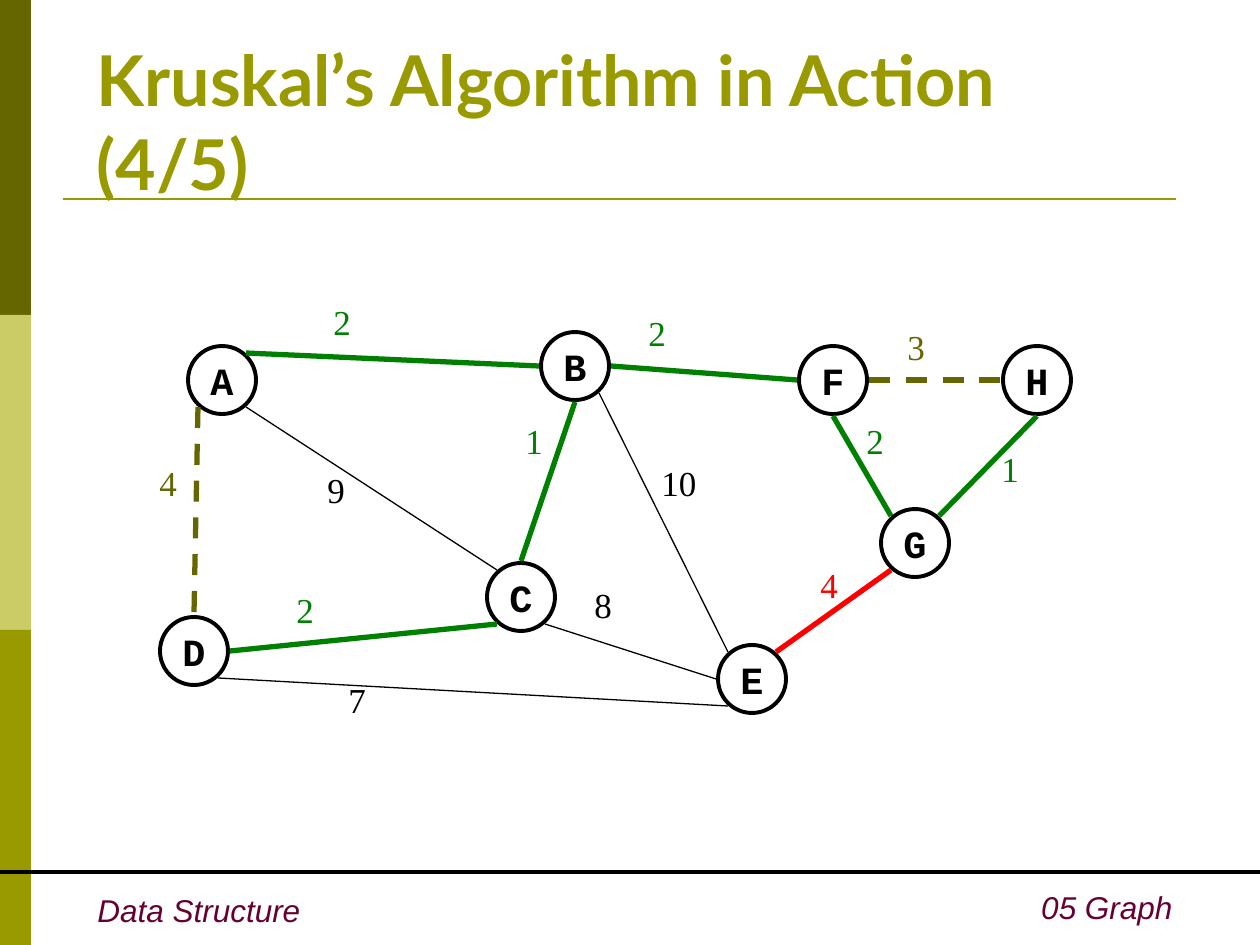
from pptx import Presentation
from pptx.dml.color import RGBColor
from pptx.enum.dml import MSO_LINE
from pptx.enum.shapes import MSO_CONNECTOR, MSO_SHAPE
from pptx.enum.text import MSO_ANCHOR, MSO_AUTO_SIZE, PP_ALIGN
from pptx.oxml.ns import qn
from pptx.util import Pt
from lxml.etree import SubElement

WIDE, HIGH = 1260, 945
RADIUS, REACH = 34, 36
DIAG = (24, 27)
BLACK, WHITE, OLIVE, MOSS, PLUM = "000000", "FFFFFF", "999900", "666600", "660033"

TITLE = "Kruskal’s Algorithm in Action (4/5)"
BARS = [MOSS, "CCCC66", OLIVE]
NODES = {
    "A": (222, 380), "B": (575, 366), "C": (521, 597), "D": (194, 651),
    "E": (752, 679), "F": (833, 380), "G": (915, 543), "H": (1037, 380),
}
STYLES = {
    "taken": ("008000", 3, False),
    "refused": (MOSS, 3, True),
    "current": ("FF0000", 3, False),
    "waiting": (BLACK, 0.75, False),
}
EDGES = [
    ("A", "ne", "B", "w", "taken", "2", (321, 294)),
    ("B", "s", "C", "n", "taken", "1", (513, 413)),
    ("D", "e", "C", "sw", "taken", "2", (284, 582)),
    ("A", "sw", "D", "n", "refused", "4", (147, 455)),
    ("C", "se", "E", "w", "waiting", "8", (582, 577)),
    ("E", "sw", "D", "se", "waiting", "7", (336, 672)),
    ("G", "nw", "F", "s", "taken", "2", (854, 413)),
    ("F", "e", "H", "w", "refused", "3", (895, 319)),
    ("H", "s", "G", "ne", "taken", "1", (989, 441)),
    ("B", "e", "F", "w", "taken", "2", (636, 305)),
    ("B", "se", "E", "nw", "waiting", "10", (649, 455)),
    ("A", "se", "C", "nw", "waiting", "9", (315, 462)),
    ("E", "ne", "G", "sw", "current", "4", (808, 557)),
]


def px(count):
    return round(count * 914400 / 126)


def color(code):
    return RGBColor.from_string(code)


def write(shape, text, size, font, ink, bold=False, italic=False,
          align=PP_ALIGN.LEFT, anchor=MSO_ANCHOR.TOP, wrap=False):
    frame = shape.text_frame
    frame.text = text
    frame.word_wrap = wrap
    frame.auto_size = MSO_AUTO_SIZE.NONE
    frame.vertical_anchor = anchor
    para = frame.paragraphs[0]
    para.alignment = align
    face = para.runs[0].font
    face.size, face.name = Pt(size), font
    face.bold, face.italic = bold, italic
    face.color.rgb = color(ink)


def label(slide, box, text, **style):
    write(slide.shapes.add_textbox(*map(px, box)), text, **style)


def solid(slide, kind, box, fill):
    shape = slide.shapes.add_shape(kind, *map(px, box))
    shape.shadow.inherit = False
    shape.fill.solid()
    shape.fill.fore_color.rgb = color(fill)
    shape.line.fill.background()
    return shape


def stroke(slide, start, end, ink, width, dashed=False):
    line = slide.shapes.add_connector(
        MSO_CONNECTOR.STRAIGHT, *map(px, (*start, *end)))
    line.line.color.rgb = color(ink)
    line.line.width = Pt(width)
    if dashed:
        line.line.dash_style = MSO_LINE.DASH
    SubElement(line._element.spPr, qn("a:effectLst"))


def port(node, side):
    x, y = NODES[node]
    right = ("e" in side) - ("w" in side)
    down = ("s" in side) - ("n" in side)
    across, along = DIAG if right and down else (REACH, REACH)
    return x + right * across, y + down * along


def frame(slide):
    step = HIGH // len(BARS)
    for row, fill in enumerate(BARS):
        solid(slide, MSO_SHAPE.RECTANGLE, (0, row * step, 31, step), fill)
    stroke(slide, (63, 199), (1176, 199), OLIVE, 1.5)
    stroke(slide, (0, 872), (WIDE, 872), BLACK, 2.25)
    foot = dict(size=18, font="Arial", ink=PLUM, italic=True)
    label(slide, (85, 885, 228, 50), "Data Structure", **foot)
    label(slide, (660, 882, 525, 50), "05 Graph",
          align=PP_ALIGN.RIGHT, wrap=True, **foot)
    title = slide.shapes.title
    title.left, title.top, title.width, title.height = map(px, (84, 53, 1092, 158))
    write(title, TITLE, 40, "Lato", OLIVE, bold=True,
          anchor=MSO_ANCHOR.BOTTOM, wrap=True)


def graph(slide):
    for name, (x, y) in NODES.items():
        box = (x - RADIUS, y - RADIUS, 2 * RADIUS, 2 * RADIUS)
        node = solid(slide, MSO_SHAPE.OVAL, box, WHITE)
        node.line.color.rgb = color(BLACK)
        node.line.width = Pt(2.25)
        write(node, name, 22, "Courier New", BLACK, bold=True,
              align=PP_ALIGN.CENTER, anchor=MSO_ANCHOR.MIDDLE)
    for first, out, last, into, state, cost, spot in EDGES:
        ink, width, dashed = STYLES[state]
        stroke(slide, port(first, out), port(last, into), ink, width, dashed)
        label(slide, (*spot, 25 + 18 * len(cost), 55), cost,
              size=20, font="Times New Roman", ink=ink)


def main():
    deck = Presentation()
    deck.slide_width, deck.slide_height = px(WIDE), px(HIGH)
    slide = deck.slides.add_slide(deck.slide_layouts[5])
    frame(slide)
    graph(slide)
    deck.save("out.pptx")


if __name__ == "__main__":
    main()
